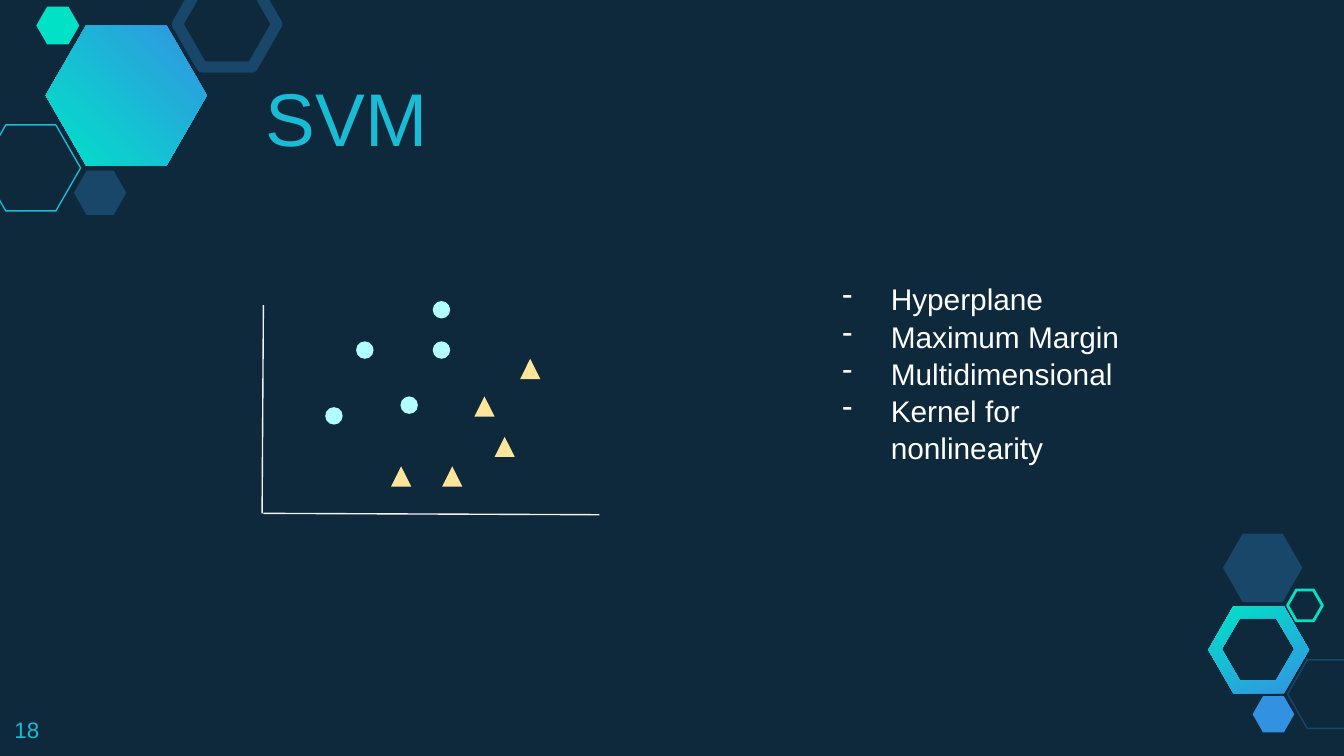
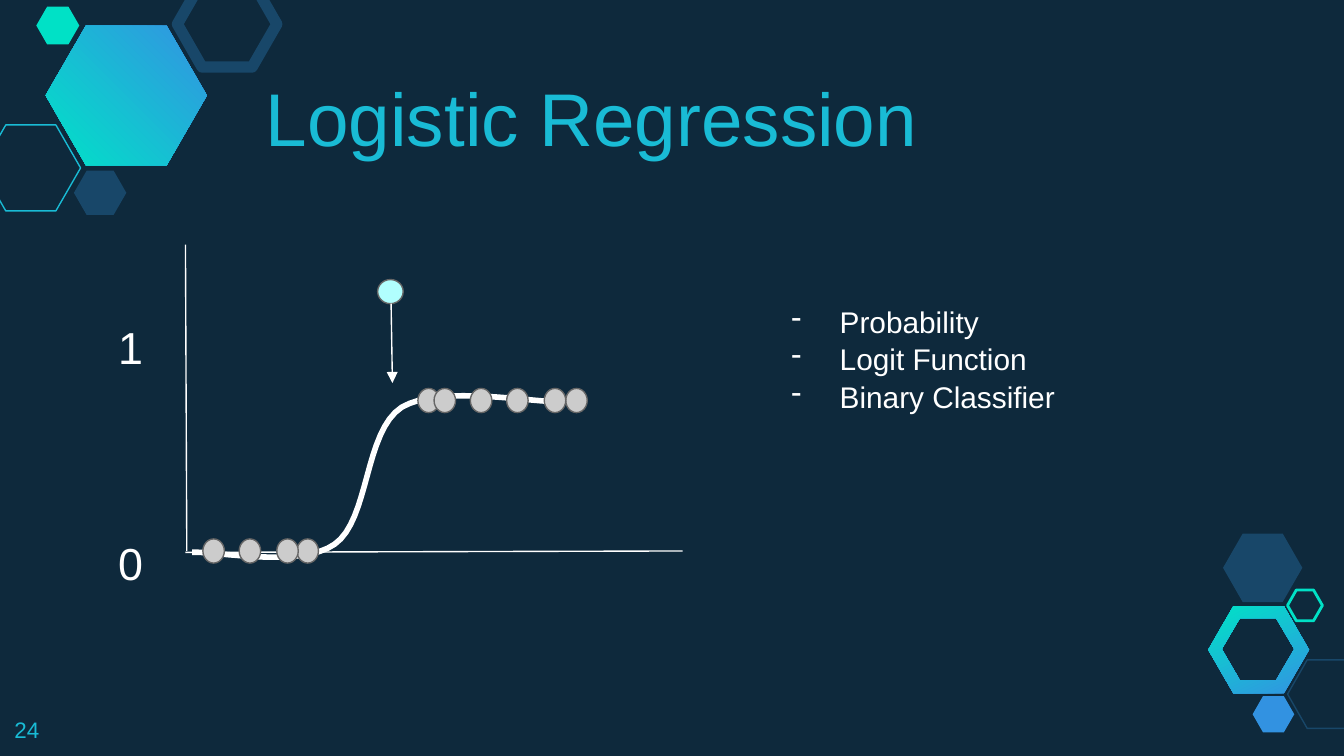
from dataclasses import dataclass

import pptx
import pptx.dml.color
import pptx.enum.dml
import pptx.enum.shapes
import pptx.enum.text
import pptx.oxml
import pptx.oxml.ns
import pptx.util
from lxml import etree

SHAPE = pptx.enum.shapes.MSO_SHAPE
ANCHOR = pptx.enum.text.MSO_ANCHOR
qn = pptx.oxml.ns.qn
COLS, ROWS = 100, 56.25  # grid of square cells, a tenth of an inch each


def cells(n):
    return pptx.util.Inches(n / 10)


@dataclass(frozen=True)
class Theme:
    ground: str = "0E293C"
    accent: str = "19BBD5"
    navy: str = "184769"
    mint: str = "00E1C6"
    blue: str = "3292E1"
    gradient: tuple = ("3393E2", "00E2C7")
    text: str = "FFFFFF"
    axis: str = "F3F3F3"
    cyan: str = "B1FFFE"
    sand: str = "FFE599"
    grey: str = "CCCCCC"
    outline: str = "666666"
    font: str = "Arial"
    title_size: int = 40
    label_size: int = 24
    body_size: int = 16
    number_size: int = 12
    hairline: float = 0.75
    curve: float = 3
    line_spacing: float = 1.04


THEME = Theme()


@dataclass(frozen=True)
class Box:
    """A region of the grid, in columns and rows."""
    x: float
    y: float
    w: float
    h: float

    def sub(self, x, y, w, h):
        return Box(self.x + x, self.y + y, w, h)

    def point(self, x, y):
        return cells(self.x + x), cells(self.y + y)

    @property
    def emu(self):
        return [cells(n) for n in (self.x, self.y, self.w, self.h)]


TOP_CLUSTER = Box(0, 0, 21, 16)
BOTTOM_CLUSTER = Box(89.9, 39.7, 10.1, 14.8)
TITLE = Box(18.8, 3.9, 77.8, 9.1)
NUMBER = Box(0.1, 52.3, 6, 3.9)


def rgb(color):
    return pptx.dml.color.RGBColor.from_string(color)


def paint(sp, fill=None, line=None, width=THEME.hairline):
    """Give a shape its fill and line, or none, and drop its shadow."""
    sp.shadow.inherit = False
    if fill:
        sp.fill.solid()
        sp.fill.fore_color.rgb = rgb(fill)
    else:
        sp.fill.background()
    if line:
        sp.line.color.rgb = rgb(line)
        sp.line.width = pptx.util.Pt(width)
    else:
        sp.line.fill.background()


def add_preset(slide, preset, box, **style):
    sp = slide.shapes.add_shape(preset, *box.emu)
    paint(sp, **style)
    return sp


def add_line(slide, start, end, color, arrow=False):
    c = slide.shapes.add_connector(
        pptx.enum.shapes.MSO_CONNECTOR.STRAIGHT, *start, *end)
    c.line.color.rgb = rgb(color)
    c.line.width = pptx.util.Pt(THEME.hairline)
    sp_pr = c.element.spPr
    if arrow:
        etree.SubElement(sp_pr.find(qn("a:ln")), qn("a:tailEnd"), type="triangle")
    etree.SubElement(sp_pr, qn("a:effectLst"))


def set_bullet(p):
    p_pr = p._p.get_or_add_pPr()
    p_pr.set("marL", str(cells(5)))
    p_pr.set("indent", str(cells(-3.6)))
    color = etree.SubElement(p_pr, qn("a:buClr"))
    etree.SubElement(color, qn("a:srgbClr"), val=THEME.text)
    etree.SubElement(p_pr, qn("a:buChar"), char="-")


def add_text(slide, box, lines, size, color, anchor=ANCHOR.TOP,
             bullets=False, spacing=None, gap=0):
    tf = slide.shapes.add_textbox(*box.emu).text_frame
    tf.word_wrap = True
    tf.vertical_anchor = anchor
    tf.margin_left = tf.margin_right = tf.margin_top = tf.margin_bottom = cells(1)
    for i, line in enumerate(lines):
        p = tf.add_paragraph() if i else tf.paragraphs[0]
        p.text = line
        if bullets:
            set_bullet(p)
        if spacing:
            p.line_spacing = spacing
        if i and gap:
            p.space_before = pptx.util.Pt(gap)
        p.font.name = THEME.font
        p.font.size = pptx.util.Pt(size)
        p.font.color.rgb = rgb(color)


def hexagon_points(box):
    corner = box.w / 4
    return [box.point(x, y) for x, y in (
        (0, box.h / 2), (corner, 0), (box.w - corner, 0),
        (box.w, box.h / 2), (box.w - corner, box.h), (corner, box.h))]


def add_gradient_hexagon(slide, box, angle, hole=None):
    points = hexagon_points(box)
    fb = slide.shapes.build_freeform(*points[0])
    fb.add_line_segments(points[1:], close=True)
    if hole:
        inner = hexagon_points(hole)[::-1]
        fb.move_to(*inner[0])
        fb.add_line_segments(inner[1:], close=True)
    sp = fb.convert_to_shape()
    paint(sp)
    sp.fill.gradient()
    sp.fill.gradient_angle = angle
    for stop, color in zip(sp.fill.gradient_stops, THEME.gradient):
        stop.color.rgb = rgb(color)


def add_hexagons(slide, box, hexagons):
    for place, style in hexagons:
        sp = add_preset(slide, SHAPE.HEXAGON, box.sub(*place), **style)
        sp.adjustments[0] = 0.287


def top_cluster(slide, box):
    add_gradient_hexagon(slide, box.sub(3.4, 1.9, 12, 10.4), 225)
    add_hexagons(slide, box, [
        ((-1.4, 9.3, 7.4, 6.4), {"line": THEME.accent}),
        ((5.5, 12.7, 3.9, 3.3), {"fill": THEME.navy}),
        ((13.2, -1.4, 7.4, 6.4), {"line": THEME.navy, "width": 6}),
        ((2.7, 0.5, 3.2, 2.8), {"fill": THEME.mint}),
    ])


def bottom_cluster(slide, box):
    add_gradient_hexagon(slide, box.sub(0, 5.4, 7.5, 6.5), 116,
                         hole=box.sub(1, 6.3, 5.4, 4.6))
    add_hexagons(slide, box, [
        ((5.9, 9.4, 5.9, 5.1), {"line": THEME.navy}),
        ((3.3, 12.1, 3.1, 2.7), {"fill": THEME.blue}),
        ((1.1, 0, 5.9, 5.1), {"fill": THEME.navy}),
        ((5.9, 4.2, 2.6, 2.3), {"line": THEME.mint, "width": 1.5}),
    ])


def svm_plot(slide, box):
    add_line(slide, box.point(0.1, 0.3), box.point(0, 15.8), THEME.axis)
    add_line(slide, box.point(25.1, 15.9), box.point(0.1, 15.8), THEME.axis)
    classes = [
        (SHAPE.OVAL, 1.3, THEME.cyan,
         [(12.7, 3), (4.7, 7.9), (7, 3), (10.3, 7.1), (12.7, 0)]),
        (SHAPE.ISOSCELES_TRIANGLE, 1.5, THEME.sand,
         [(15.8, 7.1), (19.2, 4.3), (9.6, 12.3), (13.4, 12.3), (17.3, 10.1)]),
    ]
    for preset, size, color, places in classes:
        for x, y in places:
            add_preset(slide, preset, box.sub(x, y, size, size), fill=color)


def bezier(controls, steps=16):
    """Points along a chain of cubic curves that share their end points."""
    points = [controls[0]]
    for i in range(0, len(controls) - 1, 3):
        for k in range(1, steps + 1):
            t = k / steps
            weights = ((1 - t) ** 3, 3 * t * (1 - t) ** 2, 3 * t * t * (1 - t), t ** 3)
            points.append(tuple(
                sum(w * c for w, c in zip(weights, axis))
                for axis in zip(*controls[i:i + 4])))
    return points


def sigmoid(slide, box):
    points = [box.point(*pt) for pt in bezier([
        (0.5, 22.9), (2.3, 22.8), (8.5, 24.1), (11.1, 22.3),
        (13.7, 20.5), (13.3, 13.9), (16.1, 12.1),
        (19, 10.4), (26, 11.8), (28.1, 11.7),
        (30.2, 11.6), (28.8, 11.6), (28.9, 11.5)])]
    fb = slide.shapes.build_freeform(*points[0])
    fb.add_line_segments(points[1:], close=False)
    paint(fb.convert_to_shape(), line=THEME.text, width=THEME.curve)


def logistic_plot(slide, box):
    sigmoid(slide, box)
    add_line(slide, box.point(0, 0), box.point(0.1, 22.8), THEME.text)
    add_line(slide, box.point(37, 22.8), box.point(0, 22.9), THEME.text)
    samples = [(21.9, (1.3, 8.3, 4, 6.8)),
               (10.7, (21.2, 28.3, 23.9, 26.7, 17.3, 18.5))]
    for y, xs in samples:
        for x in xs:
            add_preset(slide, SHAPE.OVAL, box.sub(x, y, 1.6, 1.8),
                       fill=THEME.grey, line=THEME.outline)
    add_text(slide, box.sub(-6, 4.4, 4.2, 22.2), ["1", "0"], THEME.label_size,
             THEME.text, spacing=THEME.line_spacing, gap=86)
    add_preset(slide, SHAPE.OVAL, box.sub(14.3, 2.6, 1.9, 1.8),
               fill=THEME.cyan, line=THEME.outline)
    add_line(slide, box.point(15.3, 4.4), box.point(15.4, 10.3), THEME.text, arrow=True)


def model_slide(prs, number, title, plot, plot_box, points, points_box):
    slide = prs.slides.add_slide(prs.slide_layouts[6])
    bottom_cluster(slide, BOTTOM_CLUSTER)
    top_cluster(slide, TOP_CLUSTER)
    add_text(slide, NUMBER, [str(number)], THEME.number_size, THEME.accent)
    add_text(slide, TITLE, [title], THEME.title_size, THEME.accent, ANCHOR.BOTTOM)
    plot(slide, plot_box)
    add_text(slide, points_box, points, THEME.body_size, THEME.text,
             bullets=True, spacing=THEME.line_spacing)


def main():
    prs = pptx.Presentation()
    prs.slide_width, prs.slide_height = cells(COLS), cells(ROWS)
    ground = prs.slide_master.background.fill
    ground.solid()
    ground.fore_color.rgb = rgb(THEME.ground)
    model_slide(prs, 18, "SVM", svm_plot, Box(19.5, 22.4, 25.1, 15.9),
                ["Hyperplane", "Maximum Margin", "Multidimensional",
                 "Kernel for nonlinearity"],
                Box(60.3, 19.8, 25.7, 3.9))
    model_slide(prs, 24, "Logistic Regression", logistic_plot,
                Box(13.8, 18.2, 37, 22.9),
                ["Probability", "Logit Function", "Binary Classifier"],
                Box(56.5, 21.5, 32.4, 3.9))
    prs.save("out.pptx")


if __name__ == "__main__":
    main()
